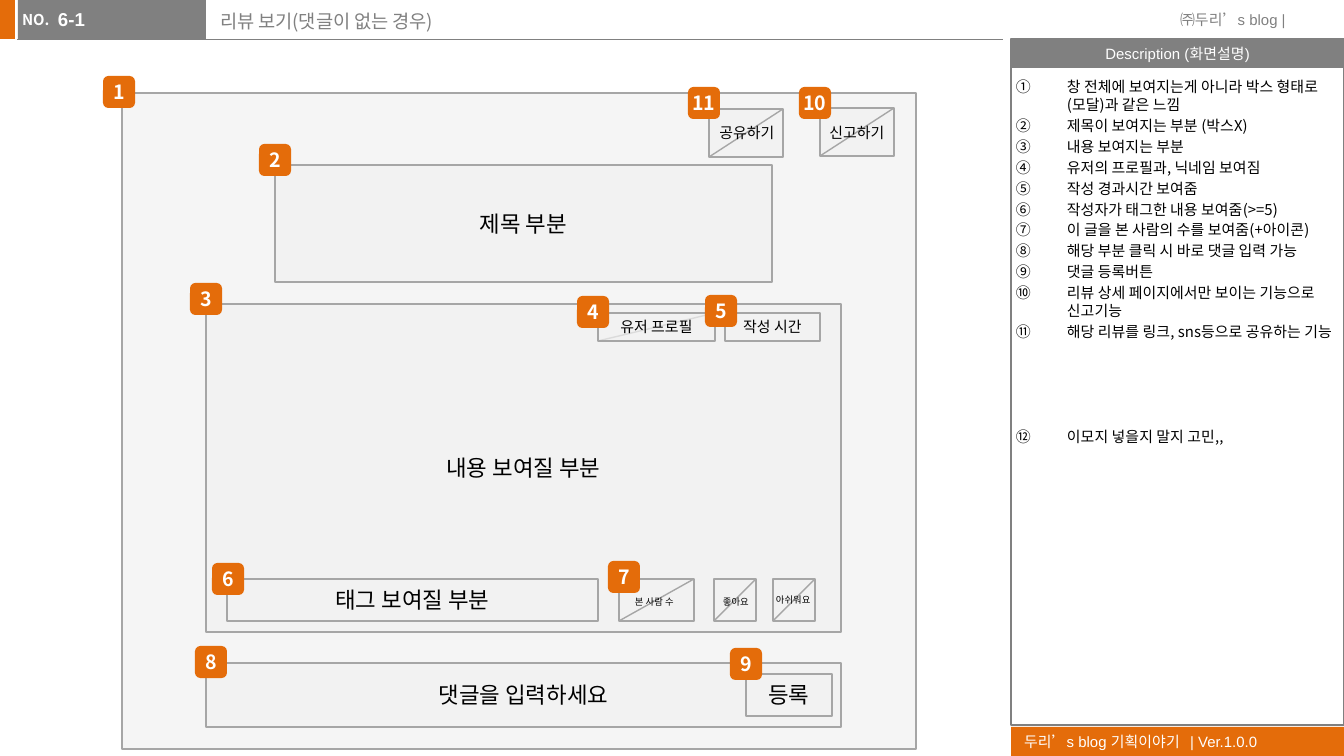
from pptx import Presentation
from pptx.dml.color import RGBColor
from pptx.enum.shapes import MSO_CONNECTOR, MSO_SHAPE
from pptx.enum.text import MSO_ANCHOR, MSO_AUTO_SIZE, PP_ALIGN
from pptx.oxml.ns import qn
from pptx.util import Pt
from lxml.etree import SubElement

PX = 914400 / 134.4
COLORS = {"orange": "E46C0A", "gray": "808080", "white": "FFFFFF",
          "black": "000000", "pale": "F2F2F2", "edge": "A6A6A6"}
NOTO, ARIAL = "Noto Sans CJK KR", "Arial"


def px(*values):
    """Turn pixels into a list of EMU lengths."""
    return [round(v * PX) for v in values]


def rgb(name):
    """Look up a named colour."""
    return RGBColor.from_string(COLORS[name])


def write(tf, text, size=8, color="black", font=NOTO, bold=False, align=PP_ALIGN.LEFT,
          anchor=MSO_ANCHOR.TOP, insets=(13, 7, 13, 7), wrap=True):
    """Fill a text frame, one paragraph for each line of text."""
    tf.auto_size = MSO_AUTO_SIZE.NONE
    tf.word_wrap = wrap
    tf.vertical_anchor = anchor
    tf.margin_left, tf.margin_top, tf.margin_right, tf.margin_bottom = px(*insets)
    for i, line in enumerate(text.split("\n")):
        p = tf.paragraphs[0] if i == 0 else tf.add_paragraph()
        p.alignment = align
        r = p.add_run()
        r.text = line
        r.font.size, r.font.bold, r.font.name = Pt(size), bold, font
        r.font.color.rgb = rgb(color)
        SubElement(r.font._element, qn("a:ea")).set("typeface", NOTO)


class Wireframe:
    """Draws the elements of a screen plan on one slide."""

    def __init__(self, slide):
        """Keep the slide and the style of its boxes."""
        self.slide = slide
        self.shapes = slide.shapes
        self.center = {"align": PP_ALIGN.CENTER, "anchor": MSO_ANCHOR.MIDDLE}

    def block(self, box, fill=None, line=None, weight=0.75, alpha=None,
              shape=MSO_SHAPE.RECTANGLE, shapes=None):
        """Add a preset shape with an optional fill and outline."""
        sp = (shapes or self.shapes).add_shape(shape, *px(*box))
        sp.shadow.inherit = False
        if fill:
            sp.fill.solid()
            sp.fill.fore_color.rgb = rgb(fill)
        else:
            sp.fill.background()
        if alpha:
            clr = sp.fill._xPr.find(qn("a:solidFill"))[0]
            SubElement(clr, qn("a:alpha")).set("val", str(alpha * 1000))
        if line:
            sp.line.color.rgb = rgb(line)
            sp.line.width = Pt(weight)
        else:
            sp.line.fill.background()
        return sp

    def line(self, start, end, color="edge", weight=0.75, shapes=None):
        """Add a straight line."""
        cxn = (shapes or self.shapes).add_connector(
            MSO_CONNECTOR.STRAIGHT, *px(*start, *end))
        cxn.line.color.rgb = rgb(color)
        cxn.line.width = Pt(weight)
        SubElement(cxn._element.spPr, qn("a:effectLst"))

    def text(self, box, text, shapes=None, **fmt):
        """Add a text box."""
        sp = (shapes or self.shapes).add_textbox(*px(*box))
        write(sp.text_frame, text, **fmt)

    def area(self, box, text="", size=12, shapes=None):
        """Add a pale see-through box with a centred label."""
        sp = self.block(box, "pale", "edge", alpha=70, shapes=shapes)
        if text:
            write(sp.text_frame, text, size, **self.center)

    def diagonal(self, box, shapes):
        """Add a line from the top right to the bottom left of a box."""
        x, y, w, h = box
        self.line((x + w, y), (x, y + h), shapes=shapes)

    def icon(self, box, label_box, label, **fmt):
        """Add a grouped icon: box, diagonal and label."""
        shapes = self.shapes.add_group_shape().shapes
        self.area(box, shapes=shapes)
        self.diagonal(box, shapes)
        self.text(label_box, label, shapes, **fmt)

    def badge(self, number, x, y):
        """Add a numbered marker."""
        sp = self.block((x, y, 32, 32), "orange", shape=MSO_SHAPE.ROUNDED_RECTANGLE)
        write(sp.text_frame, str(number), 10.5, "white", bold=True,
              insets=(0, 7, 0, 7), **self.center)

    def placeholder(self, index, box, text, **fmt):
        """Move a layout placeholder and fill it."""
        sp = self.slide.placeholders[index]
        sp.left, sp.top, sp.width, sp.height = px(*box)
        write(sp.text_frame, text, **fmt)
        return sp.text_frame.paragraphs

    def indent(self, p, left, hanging, bullet, **attrs):
        """Set the indent and bullet of a paragraph."""
        pPr = p._p.get_or_add_pPr()
        for key, value in zip(("marL", "indent"), px(left, -hanging)):
            pPr.set(key, str(value))
        mark = SubElement(pPr, qn(bullet))
        for key, value in attrs.items():
            mark.set(key, value)


DESCRIPTION = """창 전체에 보여지는게 아니라 박스 형태로 (모달)과 같은 느낌
제목이 보여지는 부분 (박스X)
내용 보여지는 부분
유저의 프로필과, 닉네임 보여짐
작성 경과시간 보여줌
작성자가 태그한 내용 보여줌(>=5)
이 글을 본 사람의 수를 보여줌(+아이콘)
해당 부분 클릭 시 바로 댓글 입력 가능
댓글 등록버튼
리뷰 상세 페이지에서만 보이는 기능으로 신고기능
해당 리뷰를 링크, sns등으로 공유하는 기능
이모지 넣을지 말지 고민,,"""

AREAS = [((122, 93, 794, 656), ""),
         ((275, 165, 497, 117), "제목 부분"),
         ((206, 304, 635, 328), "내용 보여질 부분"),
         ((227, 579, 371, 42), "태그 보여질 부분"),
         ((206, 663, 635, 64), "댓글을 입력하세요"),
         ((746, 674, 86, 42), "등록")]

ICONS = [((714, 579, 42, 42), (710, 589, 69, 26), "좋아요", 5, PP_ALIGN.LEFT),
         ((773, 579, 42, 42), (763, 587, 69, 26), "아쉬워요", 5, PP_ALIGN.LEFT),
         ((619, 579, 75, 42), (622, 589, 98, 26), "본 사람 수", 5, PP_ALIGN.LEFT),
         ((820, 108, 74, 48), (786, 117, 142, 32), "신고하기", 8, PP_ALIGN.CENTER),
         ((709, 109, 74, 48), (676, 117, 142, 32), "공유하기", 8, PP_ALIGN.CENTER)]

BADGES = [(103, 76), (259, 144), (190, 283), (577, 296), (705, 295), (212, 563),
          (608, 561), (195, 646), (730, 648), (799, 87), (688, 87)]


def add_frame(w):
    """Draw the header, the side panel and the footer."""
    w.block((-1, 0, 16, 39), "orange")
    footer = w.block((1011, 727, 333, 29), "orange")
    write(footer.text_frame, "두리’s blog 기획이야기   | Ver.1.0.0", color="white",
          font=ARIAL, anchor=MSO_ANCHOR.MIDDLE)
    w.line((17, 39), (1003, 39), "gray", 0.5)
    w.block((18, 0, 188, 39), "gray")
    w.text((9, 4, 55, 32), "NO.", color="white", bold=True, wrap=False)
    w.text((1167, 4, 128, 32), "㈜두리’s blog |", color="gray", font=ARIAL, wrap=False)
    heading = w.block((1011, 39, 333, 29), "gray")
    write(heading.text_frame, "Description (화면설명)", color="white", font=ARIAL,
          insets=(12, 5, 12, 5), wrap=False, **w.center)
    w.block((1011, 39, 333, 686), line="gray")


def add_texts(w):
    """Fill the title, the screen number and the description list."""
    w.placeholder(0, (207, 3, 794, 43), "리뷰 보기(댓글이 없는 경우)", size=10, color="gray")
    number = w.placeholder(1, (58, 1, 148, 42), "6-1", size=10, color="white",
                           font=ARIAL, bold=True, insets=(0, 7, 0, 7))
    w.indent(number[0], 51, 51, "a:buNone")
    items = w.placeholder(2, (1011, 71, 333, 656), DESCRIPTION, insets=(5, 7, 0, 7))
    items[-1].space_before = Pt(47)
    for p in items:
        w.indent(p, 51, 51, "a:buAutoNum", type="circleNumDbPlain")


def add_screen(w):
    """Draw the wireframe of the review screen."""
    for box, label in AREAS:
        w.area(box, label)
    profile = (598, 313, 117, 28)
    shapes = w.shapes.add_group_shape().shapes
    w.diagonal(profile, shapes)
    w.area(profile, "유저 프로필", 8, shapes)
    w.area((725, 313, 95, 28), "작성 시간", 8)
    for box, label_box, label, size, align in ICONS:
        w.icon(box, label_box, label, size=size, align=align)
    for number, (x, y) in enumerate(BADGES, 1):
        w.badge(number, x, y)


def main():
    """Build and save the slide."""
    prs = Presentation()
    prs.slide_width, prs.slide_height = px(1344, 756)
    s = prs.slides.add_slide(prs.slide_layouts[3])
    w = Wireframe(s)
    add_frame(w)
    # Placeholders come first in the tree, so raise them above the frame.
    for sp in list(s.placeholders):
        s.shapes._spTree.append(sp._element)
    add_texts(w)
    add_screen(w)
    prs.save("out.pptx")


main()
